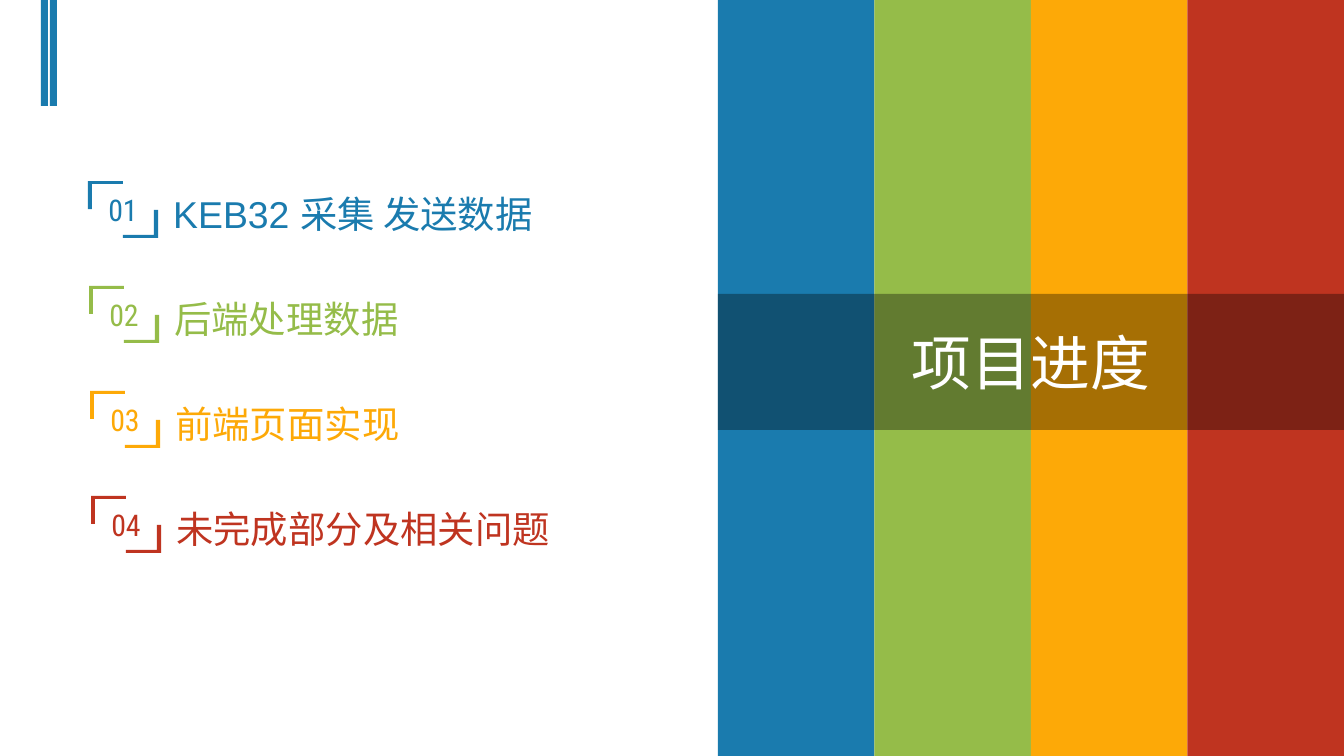
from dataclasses import dataclass

from lxml import etree
from pptx import Presentation
from pptx import util as u
from pptx.dml.color import RGBColor
from pptx.enum import shapes, text
from pptx.oxml import ns

PX = 914400 / 134.4  # EMU in one px
SLIDE_W, SLIDE_H = 1344, 756


@dataclass(frozen=True)
class Theme:
    palette: tuple = ("1A7BAE", "95BC49", "FDA907", "BF3420")
    band: str = "000000"
    band_alpha: int = 34
    light: str = "FFFFFF"
    label_font: str = "Arial"
    number_font: str = "Roboto Condensed"
    title_size: int = 32
    label_size: int = 20
    number_size: int = 16


THEME = Theme()
ENTRIES = ("KEB32 采集 发送数据", "后端处理数据", "前端页面实现", "未完成部分及相关问题")


def emu(*lengths):
    return [u.Emu(round(length * PX)) for length in lengths]


def paint(shape, color):
    shape.fill.solid()
    shape.fill.fore_color.rgb = RGBColor.from_string(color)
    shape.line.fill.background()


def add_bar(slide, box, color):
    bar = slide.shapes.add_shape(shapes.MSO_SHAPE.RECTANGLE, *emu(*box))
    bar.shadow.inherit = False
    paint(bar, color)


def write(shape, words, font, size, color, align, anchor):
    frame = shape.text_frame
    frame.text = words
    frame.word_wrap = True
    frame.vertical_anchor = anchor
    paragraph = frame.paragraphs[0]
    paragraph.alignment = align
    style = paragraph.runs[0].font
    style.name, style.size = font, u.Pt(size)
    style.color.rgb = RGBColor.from_string(color)


def add_corner_mark(slide, box):
    """Twin bars hanging from the top edge."""
    left, top, width, height = box
    bar_w = 7
    for x in (left, left + width - bar_w):
        add_bar(slide, (x, top, bar_w, height), THEME.palette[0])


def add_badge(slide, box, number, color):
    """Two opposite corner brackets around a number."""
    left, top, width, height = box
    right, bottom = left + width, top + height
    thick, arm_w, arm_h = 4, width // 2, height // 2
    brackets = []
    for x, y, sign in ((left, top, 1), (right, bottom, -1)):
        steps = ((0, 0), (arm_w, 0), (arm_w, thick - 1), (thick, thick - 1),
                 (thick, arm_h), (0, arm_h))
        brackets.append([(x + sign * dx, y + sign * dy) for dx, dy in steps])
    upper, lower = brackets
    builder = slide.shapes.build_freeform(*upper[0], scale=PX)
    builder.add_line_segments(upper[1:], close=True)
    builder.move_to(*lower[0])
    builder.add_line_segments(lower[1:], close=True)
    badge = builder.convert_to_shape()
    badge.shadow.inherit = False
    paint(badge, color)
    write(badge, number, THEME.number_font, THEME.number_size, color,
          text.PP_ALIGN.CENTER, text.MSO_ANCHOR.MIDDLE)


def add_agenda(slide, box):
    """Numbered entries, each one px further right than the last."""
    left, top, width, pitch = box
    label_dx, label_dy, label_h = 72, 4, 59
    for i, (entry, color) in enumerate(zip(ENTRIES, THEME.palette)):
        x, y = left + i, top + i * pitch
        label = slide.shapes.add_textbox(
            *emu(x + label_dx, y + label_dy, width - label_dx, label_h))
        write(label, entry, THEME.label_font, THEME.label_size, color,
              text.PP_ALIGN.LEFT, text.MSO_ANCHOR.TOP)
        add_badge(slide, (x, y, 70, 57), f"{i + 1:02d}", color)


def add_title_panel(slide, box):
    """Colour stripes crossed by a translucent title band."""
    left, top, width, height = box
    stripe_w = width / len(THEME.palette)
    for i, color in enumerate(THEME.palette):
        add_bar(slide, (left + i * stripe_w, top, stripe_w, height), color)

    title = slide.shapes.title
    title.left, title.top, title.width, title.height = emu(left, top + 294, width, 136)
    paint(title, THEME.band)
    band_color = title.element.find(".//" + ns.qn("a:srgbClr"))
    etree.SubElement(band_color, ns.qn("a:alpha"), val=str(THEME.band_alpha * 1000))
    write(title, "项目进度", THEME.number_font, THEME.title_size, THEME.light,
          text.PP_ALIGN.CENTER, text.MSO_ANCHOR.MIDDLE)
    title.text_frame.auto_size = text.MSO_AUTO_SIZE.NONE
    # Bring the band in front of the stripes
    title.element.getparent().append(title.element)


def main():
    deck = Presentation()
    deck.slide_width, deck.slide_height = emu(SLIDE_W, SLIDE_H)
    slide = deck.slides.add_slide(deck.slide_layouts.get_by_name("Title Only"))
    add_corner_mark(slide, (41, 0, 16, 106))
    add_agenda(slide, (88, 181, 608, 105))
    add_title_panel(slide, (718, 0, SLIDE_W - 718, SLIDE_H))
    deck.save("out.pptx")


if __name__ == "__main__":
    main()
